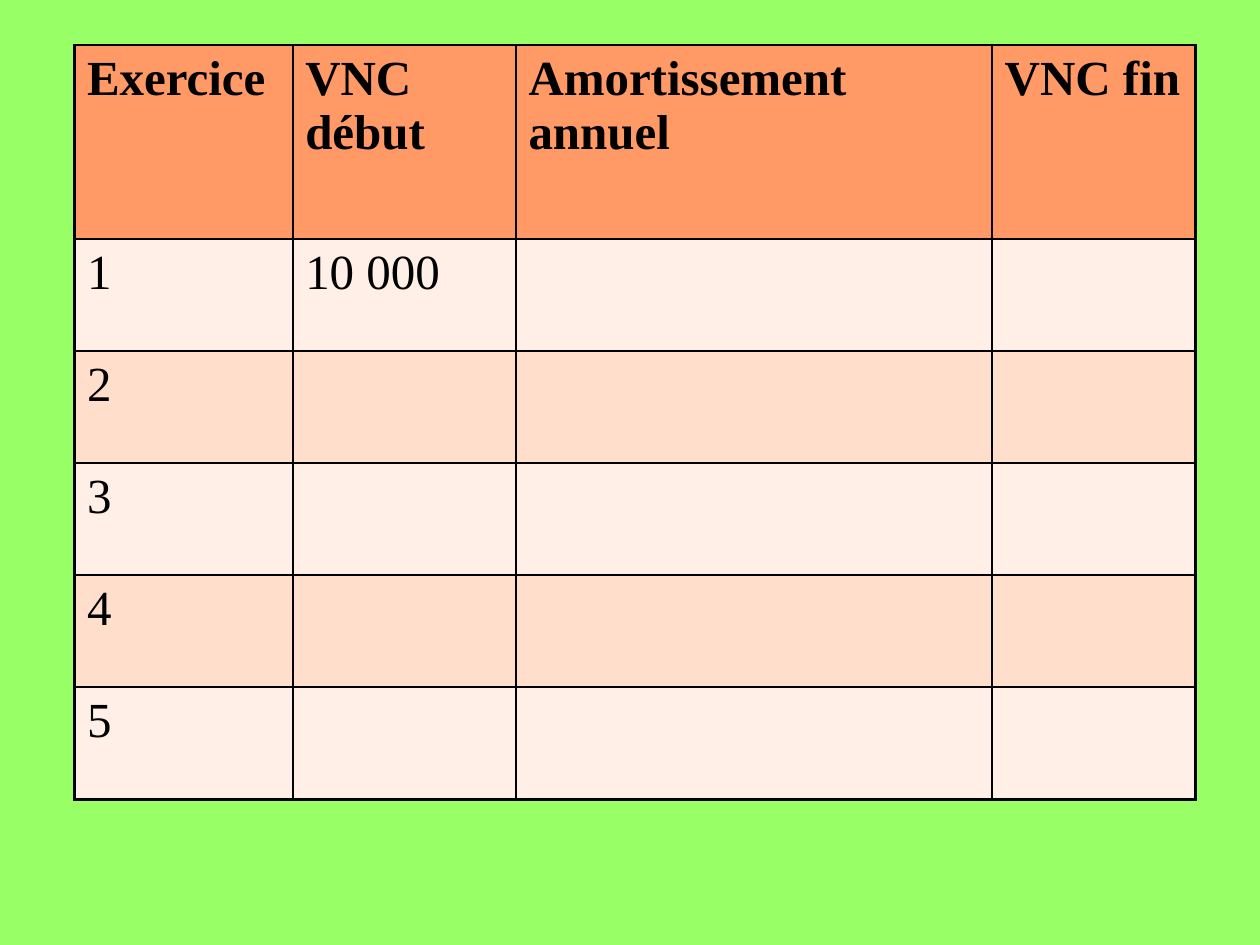
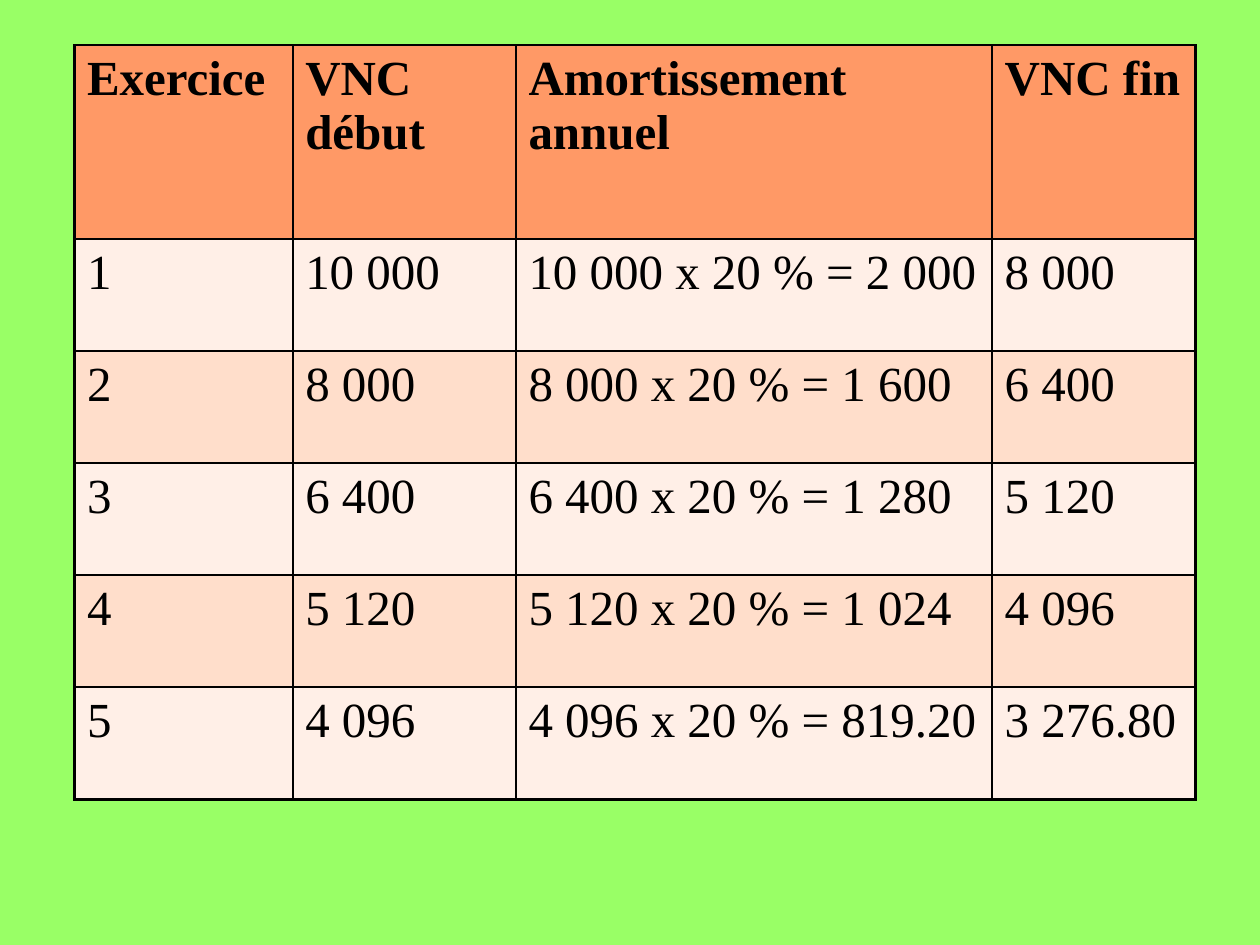
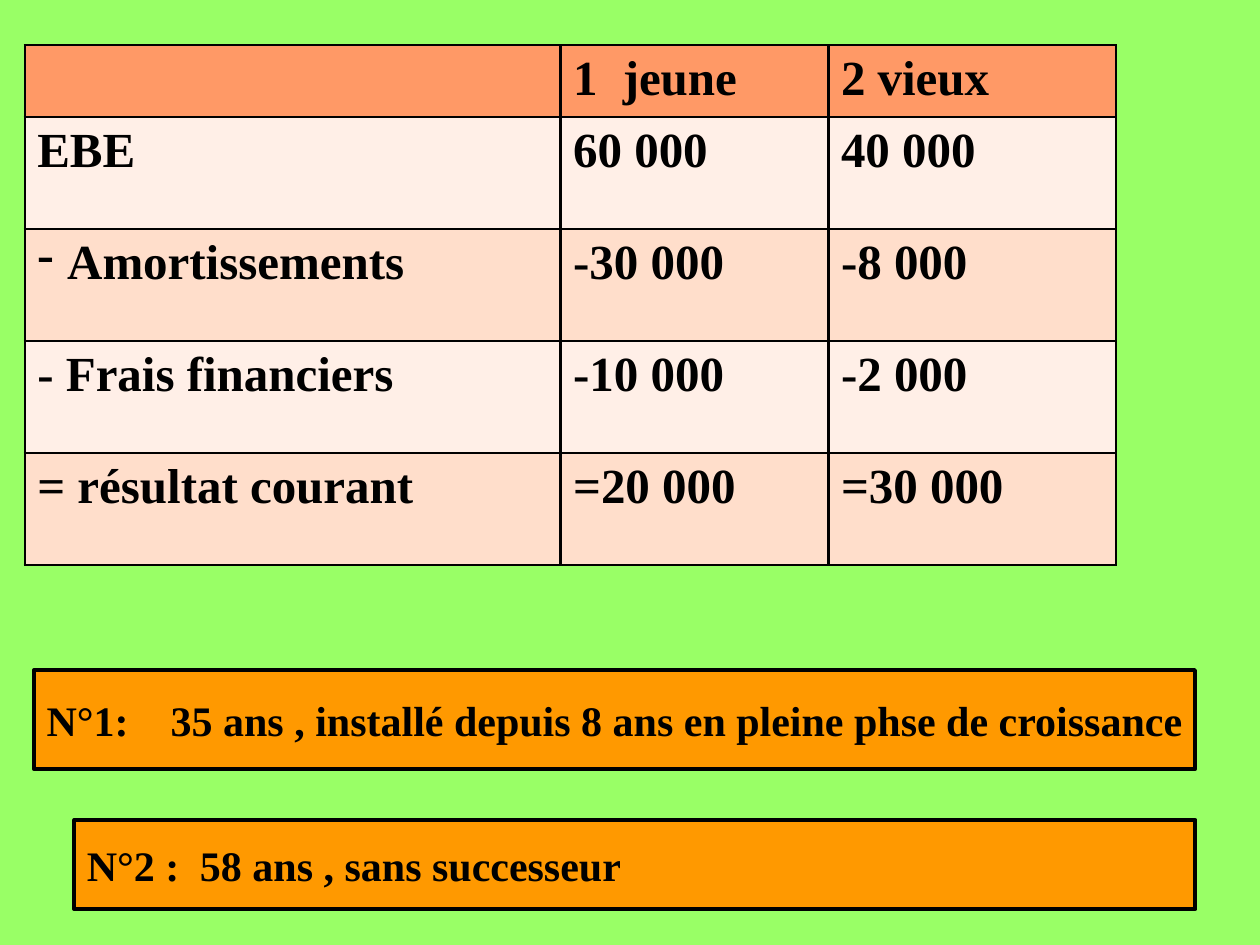
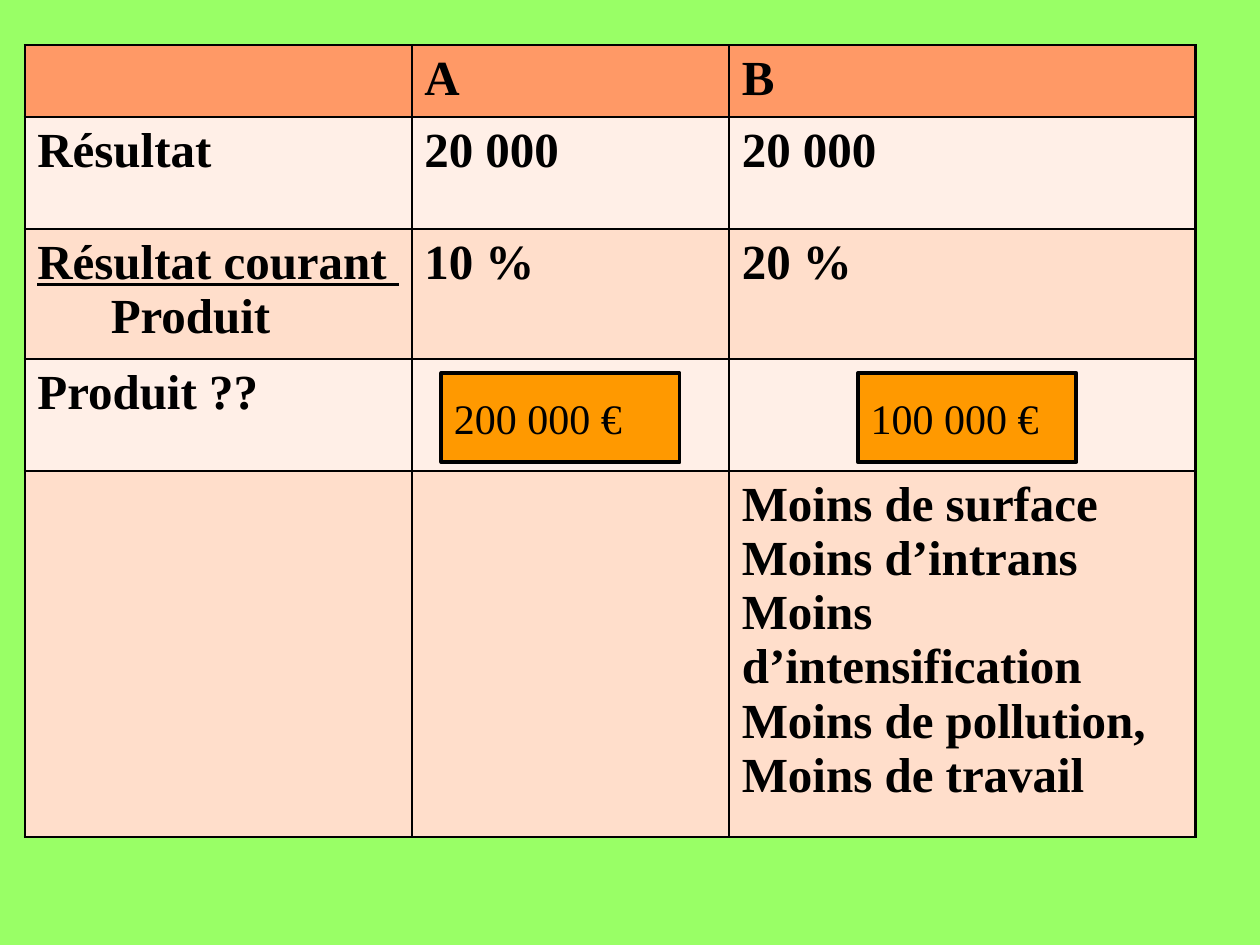
from dataclasses import dataclass

from pptx import Presentation
from pptx.dml.color import RGBColor
from pptx.enum.shapes import MSO_SHAPE as Shape
from pptx.enum.text import MSO_ANCHOR as Anchor, PP_ALIGN as Align
from pptx.oxml.xmlchemy import OxmlElement as Element
from pptx.util import Cm, Pt

COLORS = {
    "background": "99FF66",
    "header": "FF9966",
    "light": "FFEFE7",
    "dark": "FFDECB",
    "note": "FF9900",
    "ink": "000000",
}
FONT = "Times New Roman"
TABLE_TOP = 0.91
HEADER_HEIGHT, ROW_HEIGHT = 1.45, 2.26


def rgb(name):
    return RGBColor.from_string(COLORS[name])


@dataclass
class Line:
    """A paragraph that needs more than plain text; lengths in cm."""
    text: str
    underline: bool = False
    tab: float = 0
    indent: float = 0
    bullet: str = ""


def add_child(parent, tag, **attributes):
    child = Element(tag)
    for key, value in attributes.items():
        child.set(key, str(value))
    parent.append(child)
    return child


def write(frame, content, size=28, bold=False):
    """Fill a text frame with one line or a list of lines."""
    lines = content if isinstance(content, list) else [content]
    for index, line in enumerate(lines):
        if isinstance(line, str):
            line = Line(line)
        paragraph = frame.paragraphs[0] if index == 0 else frame.add_paragraph()
        paragraph.alignment = Align.LEFT
        props = paragraph._p.get_or_add_pPr()
        if line.indent:
            props.set("marL", str(Cm(line.indent)))
        if line.bullet:
            props.set("indent", str(-Cm(line.indent)))
            add_child(props, "a:buChar", char=line.bullet)
        if line.tab:
            stops = add_child(props, "a:tabLst")
            add_child(stops, "a:tab", pos=Cm(line.tab), algn="l")
        if line.text:
            run = paragraph.add_run()
            run.text = line.text
            font = run.font
            font.name, font.size, font.bold = FONT, Pt(size), bold
            font.color.rgb = rgb("ink")
            if line.underline:
                font.underline = True


class Deck:
    def __init__(self):
        self.prs = Presentation()
        self.prs.slide_width, self.prs.slide_height = Cm(25.4), Cm(19.05)
        fill = self.prs.slide_master.background.fill
        fill.solid()
        fill.fore_color.rgb = rgb("background")
        self.slide = None

    def new_slide(self):
        self.slide = self.prs.slides.add_slide(self.prs.slide_layouts[6])

    def border(self, cell):
        props = cell._tc.get_or_add_tcPr()
        for side in ("a:lnL", "a:lnR", "a:lnT", "a:lnB"):
            line = add_child(props, side, w=Pt(1.47))
            add_child(add_child(line, "a:solidFill"), "a:srgbClr", val=COLORS["ink"])

    def table(self, rows, left, widths, heights, bold_body=True):
        table = self.slide.shapes.add_table(
            len(rows), len(widths), Cm(left), Cm(TABLE_TOP),
            Cm(sum(widths)), Cm(sum(heights))).table
        table.first_row = table.horz_banding = False
        for column, width in zip(table.columns, widths):
            column.width = Cm(width)
        for r, (row, height) in enumerate(zip(rows, heights)):
            table.rows[r].height = Cm(height)
            band = "header" if r == 0 else "light" if r % 2 else "dark"
            for c, content in enumerate(row):
                cell = table.cell(r, c)
                self.border(cell)
                cell.fill.solid()
                cell.fill.fore_color.rgb = rgb(band)
                write(cell.text_frame, content, bold=bold_body or r == 0)

    def note(self, content, left, top, width, height=1.8, bold=False):
        box = self.slide.shapes.add_shape(
            Shape.RECTANGLE, Cm(left), Cm(top), Cm(width), Cm(height))
        box.shadow.inherit = False
        box.fill.solid()
        box.fill.fore_color.rgb = rgb("note")
        box.line.color.rgb = rgb("ink")
        box.line.width = Pt(2.25)
        frame = box.text_frame
        frame.word_wrap = False
        frame.vertical_anchor = Anchor.MIDDLE
        write(frame, content, size=24, bold=bold)


def depreciation(deck, body):
    header = ["Exercice", "VNC début", "Amortissement annuel", "VNC fin"]
    deck.new_slide()
    deck.table([header] + body, left=1.5, widths=[4.4, 4.5, 9.6, 4.1],
               heights=[3.91] + [ROW_HEIGHT] * len(body), bold_body=False)


def main():
    deck = Deck()

    # Depreciation schedule: to fill in, then solved
    values = ["10 000", "8 000", "6 400", "5 120", "4 096", "3 276.80"]
    charges = ["2 000", "1 600", "1 280", "1 024", "819.20"]
    solved = [[str(year), start, f"{start} x 20 % = {charge}", end]
              for year, (start, charge, end)
              in enumerate(zip(values, charges, values[1:]), 1)]
    to_fill = [[row[0], values[0] if i == 0 else "", "", ""]
               for i, row in enumerate(solved)]
    depreciation(deck, to_fill)
    depreciation(deck, solved)

    # Young and old farmer compared
    deck.new_slide()
    deck.table([
        ["", Line("1\tjeune", tab=1), "2 vieux"],
        ["EBE", "60 000", "40 000"],
        [Line("Amortissements", indent=0.6, bullet="-"), "-30 000", "-8 000"],
        ["- Frais financiers", "-10 000", "-2 000"],
        ["= résultat courant", "=20 000", "=30 000"],
    ], left=0.5, widths=[10.8, 5.4, 5.8],
        heights=[HEADER_HEIGHT] + [ROW_HEIGHT] * 4)
    deck.note(Line("N°1:\t35 ans , installé depuis 8 ans en pleine phse de croissance",
                   tab=2.5), 0.69, 13.51, 23.4, 2, bold=True)
    deck.note(Line("N°2 :\t58 ans , sans successeur", tab=2.28),
              1.5, 16.53, 22.6, bold=True)

    # Same result, different efficiency
    deck.new_slide()
    deck.table([
        ["", "A", "B"],
        ["Résultat", "20 000", "20 000"],
        [[Line("Résultat courant ", underline=True), Line("Produit", indent=1.48)],
         "10 %", "20 %"],
        ["Produit ??", "", ""],
        ["", "", ["Moins de surface", "Moins d’intrans", "Moins d’intensification",
                  "Moins de pollution,", "Moins de travail"]],
    ], left=0.5, widths=[7.8, 6.4, 9.4],
        heights=[HEADER_HEIGHT, ROW_HEIGHT, 2.62, ROW_HEIGHT, 7.37])
    deck.note("200 000 €", 8.9, 7.52, 4.8)
    deck.note("100 000 €", 17.3, 7.52, 4.4)

    deck.prs.save("out.pptx")


if __name__ == "__main__":
    main()
